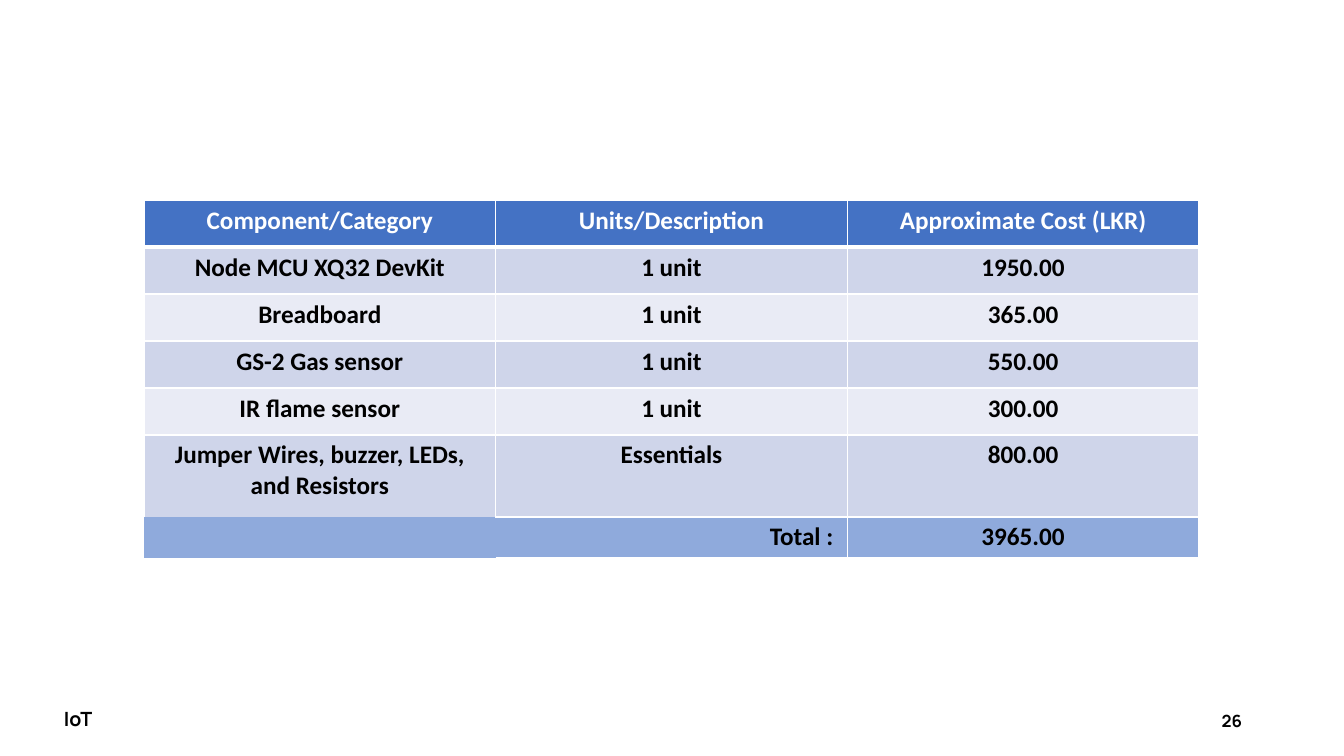
from lxml import etree
from pptx import Presentation
from pptx.dml.color import RGBColor
from pptx.enum.text import MSO_ANCHOR, PP_ALIGN
from pptx.oxml.ns import qn
from pptx.util import Emu, Pt

LEFT, MID, RIGHT = PP_ALIGN.LEFT, PP_ALIGN.CENTER, PP_ALIGN.RIGHT
TOP, CENTRE = MSO_ANCHOR.TOP, MSO_ANCHOR.MIDDLE

COLOURS = {
    "ink": "000000",
    "paper": "FFFFFF",
    "head": "4472C4",
    "odd": "CFD5EA",
    "even": "E9EBF5",
    "total": "8FAADC",
}

COSTS = [
    ("Component/Category", "Units/Description", "Approximate Cost (LKR)"),
    ("Node MCU XQ32 DevKit", "1 unit", "1950.00"),
    ("Breadboard", "1 unit", "365.00"),
    ("GS-2 Gas sensor", "1 unit", "550.00"),
    ("IR flame sensor", "1 unit", "300.00"),
    ("Jumper Wires, buzzer, LEDs, and Resistors", "Essentials", "800.00"),
    ("", "Total :", "3965.00"),
]
HEIGHTS = [47] * 5 + [82, 41]
LAST = len(COSTS) - 1


def px(n):
    return Emu(round(n * 914400 / 100.8))


def rgb(name):
    return RGBColor.from_string(COLOURS[name])


def edges(row, col):
    """Give the border widths of a cell in points; 0 means no line."""
    wide = {"L": 1, "R": 1, "T": 1, "B": 1}
    if row == 0:
        wide["B"] = 3
    elif row == 1:
        wide["T"] = 3
    if (row, col) == (LAST - 1, 0):
        wide["B"] = 0
    elif (row, col) == (LAST, 0):
        wide = dict.fromkeys(wide, 0)
    elif (row, col) == (LAST, 1):
        wide["L"] = 0
    return wide


class Page:
    def __init__(self, slide, body, foot):
        self.slide = slide
        self.body = body
        self.foot = foot

    def words(self, para, text, face, size, ink, align):
        para.text = text
        para.alignment = align
        font = para.font
        font.name, font.size, font.bold = face, Pt(size), True
        font.color.rgb = rgb(ink)

    def label(self, box, text, size, align=LEFT, anchor=TOP):
        frame = self.slide.shapes.add_textbox(*map(px, box)).text_frame
        frame.word_wrap = True
        frame.vertical_anchor = anchor
        self.words(frame.paragraphs[0], text, self.foot, size, "ink", align)

    def border(self, cell, wide):
        props = cell._tc.get_or_add_tcPr()
        for side, width in wide.items():
            line = etree.SubElement(props, qn("a:ln" + side), w=str(Pt(width)))
            if width:
                fill = etree.SubElement(line, qn("a:solidFill"))
                etree.SubElement(fill, qn("a:srgbClr"), val=COLOURS["paper"])
            else:
                etree.SubElement(line, qn("a:noFill"))

    def table(self, box, rows, heights):
        shape = self.slide.shapes.add_table(len(rows), len(rows[0]), *map(px, box))
        grid = shape.table
        for r, texts in enumerate(rows):
            grid.rows[r].height = px(heights[r])
            shade = {0: "head", LAST: "total"}.get(r, "odd" if r % 2 else "even")
            for c, text in enumerate(texts):
                cell = grid.cell(r, c)
                self.border(cell, edges(r, c))
                cell.fill.solid()
                cell.fill.fore_color.rgb = rgb(shade)
                total = (r, c) == (LAST, 1)
                if total:
                    cell.margin_right = px(14)
                self.words(cell.text_frame.paragraphs[0], text, self.body, 18,
                           "ink" if r else "paper", RIGHT if total else MID)


def main():
    deck = Presentation()
    deck.slide_width, deck.slide_height = px(1344), px(756)
    page = Page(deck.slides.add_slide(deck.slide_layouts[6]), "Calibri", "Manrope")
    page.table((144, 200, 1055, sum(HEIGHTS)), COSTS, HEIGHTS)
    page.label((54, 702, 52, 34), "IoT", 14)
    page.label((950, 701, 302, 40), "26", 12, RIGHT, CENTRE)
    deck.save("out.pptx")


if __name__ == "__main__":
    main()
